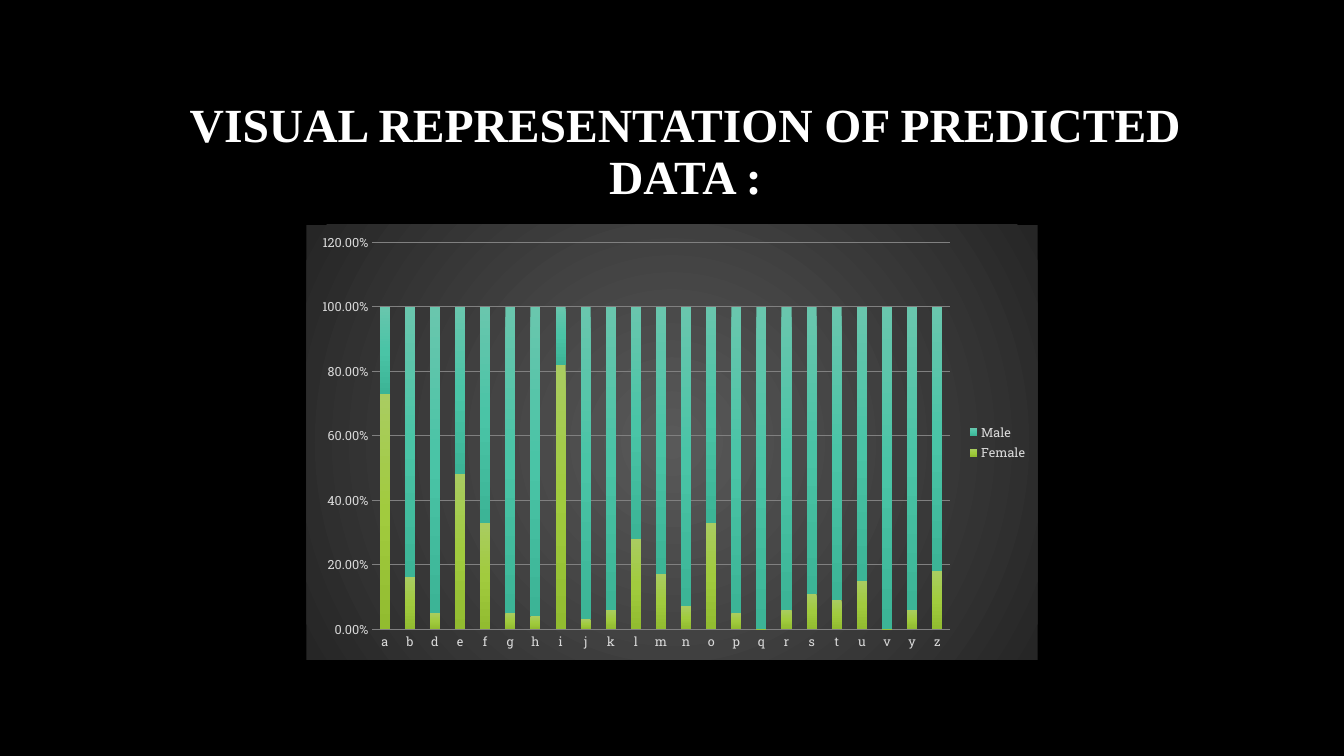
import pptx
import pptx.chart.data
import pptx.dml.color
import pptx.enum.chart
import pptx.enum.text
import pptx.oxml
import pptx.oxml.ns
import pptx.util

RGBColor = pptx.dml.color.RGBColor
BLACK = RGBColor(0x00, 0x00, 0x00)
WHITE = RGBColor(0xFF, 0xFF, 0xFF)
LABEL_GRAY = RGBColor(0xD9, 0xD9, 0xD9)
GRID_GRAY = RGBColor(0x80, 0x80, 0x80)
PANEL_STOPS = [(0, RGBColor(0x59, 0x59, 0x59)), (100, RGBColor(0x26, 0x26, 0x26))]
FEMALE_STOPS = [(0, RGBColor(0xA9, 0xCC, 0x61)), (50, RGBColor(0xA1, 0xCB, 0x3E)),
                (100, RGBColor(0x92, 0xBC, 0x30))]
MALE_STOPS = [(0, RGBColor(0x69, 0xC6, 0xAD)), (50, RGBColor(0x4A, 0xC4, 0xA6)),
              (100, RGBColor(0x3C, 0xB4, 0x96))]
LINEAR = '<a:lin ang="5400000" scaled="0"/>'
RADIAL = '<a:path path="circle"><a:fillToRect l="50000" t="50000" r="50000" b="50000"/></a:path>'

WIDTH = pptx.util.Inches(13.33)
HEIGHT = pptx.util.Inches(7.5)
TITLE_BOX = (0.0765, 0.128, 0.867, 0.149)
CHART_BOX = (0.228, 0.2975, 0.544, 0.575)
PLOT_BOX = {"x": 0.09, "y": 0.04, "w": 0.79, "h": 0.89}

FEMALE_SHARES = {
    "a": 0.73, "b": 0.16, "d": 0.05, "e": 0.48, "f": 0.33, "g": 0.05, "h": 0.04, "i": 0.82,
    "j": 0.03, "k": 0.06, "l": 0.28, "m": 0.17, "n": 0.07, "o": 0.33, "p": 0.05, "q": 0,
    "r": 0.06, "s": 0.11, "t": 0.09, "u": 0.15, "v": 0, "y": 0.06, "z": 0.18,
}


def place(box):
    """Turn shares of the slide's size into left, top, width and height."""
    return [round(share * size) for share, size in zip(box, (WIDTH, HEIGHT) * 2)]


def shape_properties(stops, direction):
    """Build chart shape properties with a gradient fill and no outline."""
    stop_list = "".join(
        f'<a:gs pos="{position * 1000}"><a:srgbClr val="{color}"/></a:gs>'
        for position, color in stops)
    return pptx.oxml.parse_xml(
        f'<c:spPr {pptx.oxml.ns.nsdecls("c", "a")}><a:gradFill rotWithShape="1">'
        f'<a:gsLst>{stop_list}</a:gsLst>{direction}</a:gradFill><a:ln><a:noFill/></a:ln></c:spPr>')


def style_font(font, name, size, color):
    """Set a font's name, size and colour."""
    font.name = name
    font.size = pptx.util.Pt(size)
    font.color.rgb = color


def style_axis(axis):
    """Give an axis light labels without line or ticks."""
    axis.major_tick_mark = axis.minor_tick_mark = pptx.enum.chart.XL_TICK_MARK.NONE
    axis.format.line.fill.background()
    style_font(axis.tick_labels.font, "Roboto Slab", 9, LABEL_GRAY)


def fix_plot_area(chart):
    """Fix the inner plot area as shares of the chart's size."""
    plot_area = chart._chartSpace.chart.plotArea
    for automatic in plot_area.findall(pptx.oxml.ns.qn("c:layout")):
        plot_area.remove(automatic)
    modes = "".join(f'<c:{side}Mode val="edge"/>' for side in "xy")
    shares = "".join(f'<c:{side} val="{share}"/>' for side, share in PLOT_BOX.items())
    plot_area.insert(0, pptx.oxml.parse_xml(
        f'<c:layout {pptx.oxml.ns.nsdecls("c")}><c:manualLayout>'
        f'<c:layoutTarget val="inner"/>{modes}{shares}</c:manualLayout></c:layout>'))


def add_title(slide, wording):
    """Write the heading into the title placeholder."""
    heading = slide.shapes.title
    heading.left, heading.top, heading.width, heading.height = place(TITLE_BOX)
    frame = heading.text_frame
    frame.text = wording
    frame.word_wrap = True
    frame.auto_size = pptx.enum.text.MSO_AUTO_SIZE.NONE
    frame.vertical_anchor = pptx.enum.text.MSO_ANCHOR.MIDDLE
    paragraph = frame.paragraphs[0]
    paragraph.alignment = pptx.enum.text.PP_ALIGN.CENTER
    paragraph.line_spacing = 0.9
    for run in paragraph.runs:
        style_font(run.font, "Times New Roman", 34, WHITE)
        run.font.bold = True


def add_share_chart(slide):
    """Add the stacked columns of female and male shares by letter."""
    shares = pptx.chart.data.CategoryChartData(number_format="0.00%")
    shares.categories = list(FEMALE_SHARES)
    shares.add_series("Female", FEMALE_SHARES.values())
    shares.add_series("Male", [round(1 - share, 2) for share in FEMALE_SHARES.values()])
    chart = slide.shapes.add_chart(
        pptx.enum.chart.XL_CHART_TYPE.COLUMN_STACKED, *place(CHART_BOX), shares).chart
    chart.has_title = False
    style_font(chart.font, "Roboto Slab", 10, WHITE)
    chart._chartSpace.chart.addnext(shape_properties(PANEL_STOPS, RADIAL))
    fix_plot_area(chart)

    columns = chart.plots[0]
    columns.vary_by_categories = False
    columns.gap_width = 150
    columns.overlap = 100
    for series, stops in zip(columns.series, (FEMALE_STOPS, MALE_STOPS)):
        plain = series._element.get_or_add_spPr()
        plain.getparent().replace(plain, shape_properties(stops, LINEAR))

    style_axis(chart.category_axis)
    percent = chart.value_axis
    style_axis(percent)
    percent.minimum_scale, percent.maximum_scale, percent.major_unit = 0, 1.2, 0.2
    percent.tick_labels.number_format = "0.00%"
    percent.tick_labels.number_format_is_linked = False
    percent.has_major_gridlines = True
    percent.major_gridlines.format.line.color.rgb = GRID_GRAY
    percent.major_gridlines.format.line.width = pptx.util.Pt(0.75)

    chart.has_legend = True
    chart.legend.position = pptx.enum.chart.XL_LEGEND_POSITION.RIGHT
    chart.legend.include_in_layout = False
    style_font(chart.legend.font, "Roboto Slab", 9, LABEL_GRAY)


def main():
    """Build the slide and save it."""
    deck = pptx.Presentation()
    deck.slide_width, deck.slide_height = WIDTH, HEIGHT
    slide = deck.slides.add_slide(deck.slide_layouts.get_by_name("Title Only"))
    slide.background.fill.solid()
    slide.background.fill.fore_color.rgb = BLACK
    add_title(slide, "VISUAL REPRESENTATION OF PREDICTED DATA :")
    add_share_chart(slide)
    deck.save("out.pptx")


if __name__ == "__main__":
    main()
